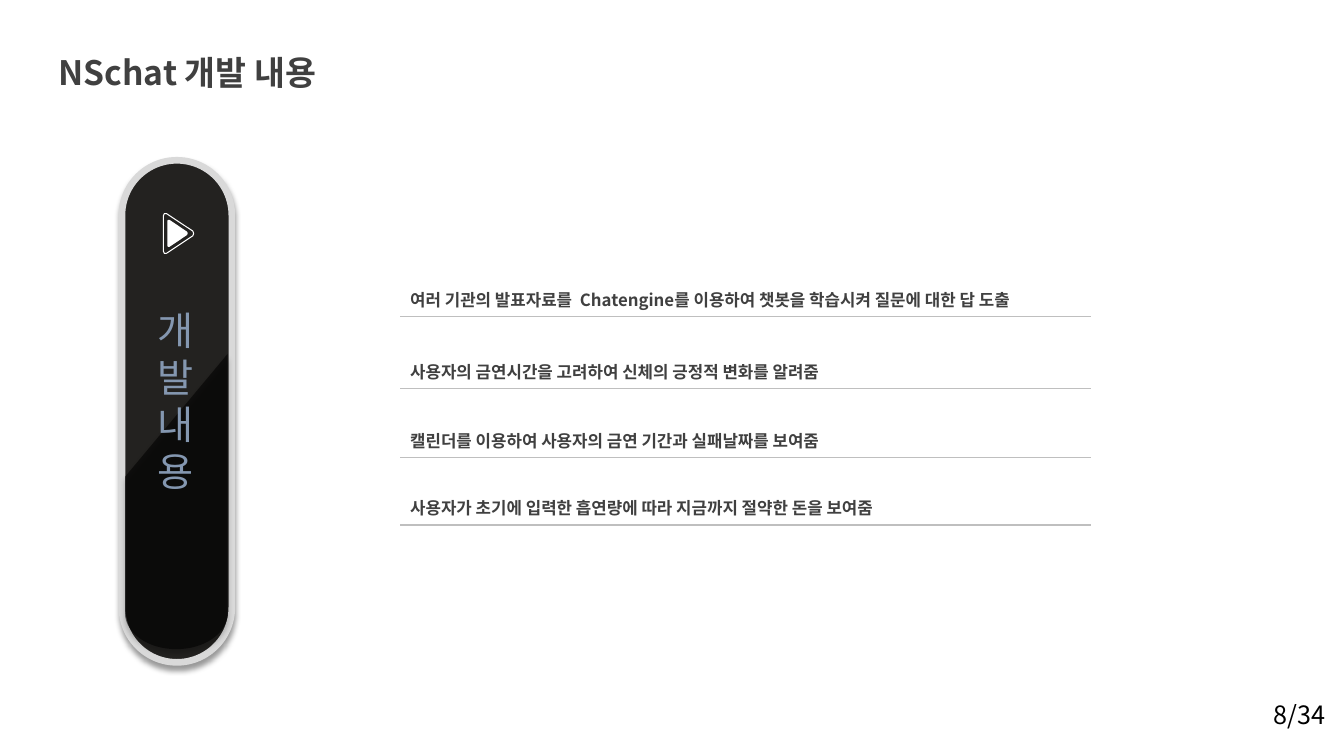
from lxml import etree
from pptx import Presentation
from pptx import util as u
from pptx.dml.color import RGBColor
from pptx.enum import shapes, text
from pptx.oxml import parse_xml
from pptx.oxml.ns import qn

Pt = u.Pt
FACE = "Noto Sans CJK KR"
NS = 'xmlns:a="http://schemas.openxmlformats.org/drawingml/2006/main"'
HUES = {"ink": "404040", "black": "000000", "white": "FFFFFF", "pill": "232220",
        "rim": "D9D9D9", "rule": "BFBFBF", "label": "8497B0"}
TITLE = {"size": Pt(24), "bold": True, "hue": "ink"}
LABEL = {"size": Pt(28), "bold": False, "hue": "label"}
ITEM = {"size": Pt(12), "bold": True, "hue": "ink"}
PAGE = {"size": Pt(18), "bold": False, "hue": "black"}
ITEMS = [
    ("여러 기관의 발표자료를  Chatengine를 이용하여 챗봇을 학습시켜 질문에 대한 답 도출", 56.8),
    ("사용자의 금연시간을 고려하여 신체의 긍정적 변화를 알려줌", 51.6),
    ("캘린더를 이용하여 사용자의 금연 기간과 실패날짜를 보여줌", 49),
    ("사용자가 초기에 입력한 흡연량에 따라 지금까지 절약한 돈을 보여줌", 48.4),
]
ARROW = [(0.97, 0.44), (0.1, 0), (0.03, 0), (0, 0.05), (0, 0.95),
         (0.03, 1), (0.1, 1), (0.97, 0.56), (1, 0.5)]


def tint(hue):
    return RGBColor.from_string(HUES[hue])


def write(frame, lines, form, align=text.PP_ALIGN.LEFT, space=None):
    frame.word_wrap = True
    frame.text = "\n".join(lines)
    for para in frame.paragraphs:
        para.alignment = align
        para.line_spacing = space
        for run in para.runs:
            run.font.name = FACE
            for key, value in form.items():
                if key == "hue":
                    run.font.color.rgb = tint(value)
                else:
                    setattr(run.font, key, value)
            face = etree.SubElement(run.font._element, qn("a:ea"))
            face.set("typeface", FACE)


def place(shape, box):
    for key, value in zip(("left", "top", "width", "height"), box):
        setattr(shape, key, Pt(value))


def add_text(slide, box, lines, form, align=text.PP_ALIGN.LEFT):
    label = slide.shapes.add_textbox(*map(Pt, box))
    write(label.text_frame, lines, form, align)


def add_title(slide, box, words):
    title = slide.shapes.title
    place(title, box)
    frame = title.text_frame
    frame.vertical_anchor = text.MSO_ANCHOR.TOP
    frame.auto_size = text.MSO_AUTO_SIZE.NONE
    write(frame, [words], TITLE, space=1.5)


def paint(shape, fill=None, line=None, width=0.75):
    shape.shadow.inherit = False
    if fill:
        shape.fill.solid()
        shape.fill.fore_color.rgb = tint(fill)
    else:
        shape.fill.background()
    if line:
        shape.line.color.rgb = tint(line)
        shape.line.width = Pt(width)
    else:
        shape.line.fill.background()


def add_shade(shape):
    effects = shape._element.spPr.find(qn("a:effectLst"))
    effects.append(parse_xml(
        f'<a:outerShdw {NS} blurRad="{Pt(4)}" dist="{Pt(3)}" dir="5400000" algn="t" '
        'rotWithShape="0"><a:srgbClr val="000000"><a:alpha val="40000"/>'
        '</a:srgbClr></a:outerShdw>'))


def add_form(slide, points):
    spots = [(Pt(x), Pt(y)) for x, y in points]
    form = slide.shapes.build_freeform(*spots[0], scale=1.0)
    form.add_line_segments(spots[1:], close=True)
    return form.convert_to_shape()


def curve(start, one, two, end, steps=16):
    for step in range(1, steps + 1):
        t = step / steps
        parts = ((1 - t) ** 3, 3 * t * (1 - t) ** 2, 3 * t * t * (1 - t), t ** 3)
        yield tuple(sum(p * v for p, v in zip(parts, axis))
                    for axis in zip(start, one, two, end))


def add_pill(slide):
    pill = slide.shapes.add_shape(shapes.MSO_SHAPE.ROUNDED_RECTANGLE,
                                  *map(Pt, (87.1, 114.5, 78.5, 358.6)))
    pill.adjustments[0] = 0.5
    paint(pill, "pill", "rim", 4.75)
    add_shade(pill)
    left, mid, right, side, base = 89.3, 126, 162.7, 437.8, 463.7
    points = [(right, 252.7), (right, side)]
    points += curve((right, side), (right, 452.2), (146.2, base), (mid, base))
    points += curve((mid, base), (105.8, base), (left, 452.2), (left, side))
    gloss = add_form(slide, points + [(left, 340.6)])
    paint(gloss, "black")
    hue = gloss._element.spPr.find(qn("a:solidFill"))[0]
    etree.SubElement(hue, qn("a:alpha")).set("val", "57000")
    add_shade(gloss)


def add_arrow(slide, box, **look):
    left, top, width, height = box
    arrow = add_form(slide, [(left + x * width, top + y * height) for x, y in ARROW])
    paint(arrow, **look)


def add_list(slide, left, top, width):
    frame = slide.shapes.add_table(len(ITEMS), 1, Pt(left), Pt(top), Pt(width),
                                   Pt(sum(high for _, high in ITEMS)))
    table = frame.table
    table.first_row = table.horz_banding = False
    style = table._tbl.tblPr.find(qn("a:tableStyleId"))
    style.text = "{2D5ABB26-0587-4C30-8999-92F81FD0307C}"
    for row, (words, high) in zip(table.rows, ITEMS):
        row.height = Pt(high)
        cell = row.cells[0]
        cell.vertical_anchor = text.MSO_ANCHOR.BOTTOM
        cell.fill.background()
        write(cell.text_frame, [words], ITEM)
        cell._tc.tcPr.insert(0, parse_xml(
            f'<a:lnB {NS} w="{Pt(1)}"><a:solidFill><a:srgbClr val="{HUES["rule"]}"/>'
            '</a:solidFill></a:lnB>'))


def main():
    deck = Presentation()
    deck.slide_width, deck.slide_height = Pt(960), Pt(540)
    slide = deck.slides.add_slide(deck.slide_layouts[5])
    add_title(slide, (34.6, 19.4, 412.6, 45.4), "NSchat 개발 내용")
    add_pill(slide)
    add_text(slide, (87.8, 215.3, 74.9, 143.3), "개발내용", LABEL, text.PP_ALIGN.CENTER)
    add_arrow(slide, (116.8, 152.6, 21.6, 28.4), line="white")
    add_arrow(slide, (119.5, 157, 14.6, 19.4), fill="white")
    add_list(slide, 285.8, 169.2, 493.2)
    add_text(slide, (902.9, 496.1, 69.1, 28.8), ["8/34"], PAGE)
    deck.save("out.pptx")


if __name__ == "__main__":
    main()
